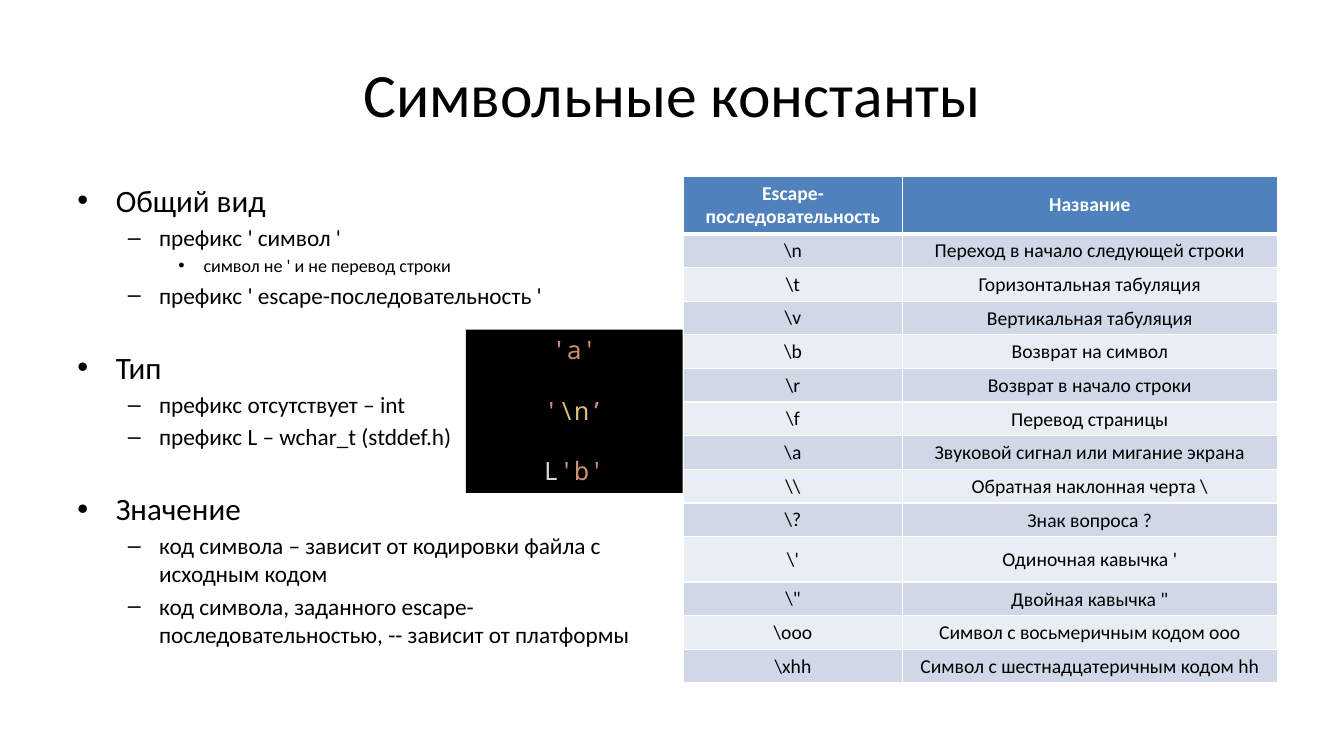
from dataclasses import dataclass

from lxml import etree
from pptx import Presentation
from pptx.dml.color import RGBColor
from pptx.enum import shapes, text
from pptx.oxml import ns
from pptx.util import Inches, Pt


@dataclass(frozen=True)
class Theme:
    font: str = "Calibri"
    code_font: str = "Noto Sans Mono"
    ink: str = "000000"
    paper: str = "FFFFFF"
    header: str = "4F81BD"
    bands: tuple = ("D0D8E8", "E9EDF4")
    literal: str = "CE9178"
    escape: str = "D7BA7D"
    prefix: str = "D4D4D4"
    title_size: float = 44
    table_size: float = 14
    code_size: float = 18


THEME = Theme()

# Per outline level: bullet, text size, left margin, hanging indent
LEVELS = [("•", 22.2, 0.38, 0.38), ("–", 16.6, 0.81, 0.31), ("•", 12.9, 1.25, 0.25)]
SECTION_GAP = 28

OUTLINE = [
    (0, "Общий вид"),
    (1, "префикс ' символ '"),
    (2, "символ не ' и не перевод строки"),
    (1, "префикс ' escape-последовательность '"),
    (0, "Тип"),
    (1, "префикс отсутствует – int"),
    (1, "префикс L – wchar_t (stddef.h)"),
    (0, "Значение"),
    (1, "код символа – зависит от кодировки файла с исходным кодом"),
    (1, "код символа, заданного escape-последовательностью, -- зависит от платформы"),
]

ESCAPES = [
    ("Escape-последовательность", "Название"),
    (r"\n", "Переход в начало следующей строки"),
    (r"\t", "Горизонтальная табуляция"),
    (r"\v", "Вертикальная табуляция"),
    (r"\b", "Возврат на символ"),
    (r"\r", "Возврат в начало строки"),
    (r"\f", "Перевод страницы"),
    (r"\a", "Звуковой сигнал или мигание экрана"),
    (r"\\", "Обратная наклонная черта " + "\\"),
    (r"\?", "Знак вопроса ?"),
    (r"\'", "Одиночная кавычка '"),
    (r'\"', 'Двойная кавычка "'),
    (r"\ooo", "Символ с восьмеричным кодом ooo"),
    (r"\xhh", "Символ с шестнадцатеричным кодом hh"),
]
HEADER_HEIGHT, ROW_HEIGHT, QUOTE_HEIGHT = 0.57, 0.33, 0.45

CODE_LINES = [
    [("'a'", THEME.literal)],
    [("'", THEME.literal), (r"\n", THEME.escape), ("’", THEME.literal)],
    [("L", THEME.prefix), ("'b'", THEME.literal)],
]


def add_run(paragraph, words, size, color=THEME.ink, font=THEME.font, bold=False):
    run = paragraph.add_run()
    run.text = words
    run.font.size, run.font.name, run.font.bold = Pt(size), font, bold
    run.font.color.rgb = RGBColor.from_string(color)


def paragraphs(frame, count):
    """Return the frame's first paragraph followed by new ones, count in all."""
    return [frame.paragraphs[0]] + [frame.add_paragraph() for _ in range(count - 1)]


def place_title(slide, box):
    title = slide.shapes.title
    title.left, title.top, title.width, title.height = map(Inches, box)
    title.text_frame.vertical_anchor = text.MSO_ANCHOR.MIDDLE
    heading = title.text_frame.paragraphs[0]
    heading.alignment = text.PP_ALIGN.CENTER
    add_run(heading, "Символьные константы", THEME.title_size)


def add_outline(slide, box):
    frame = slide.shapes.add_textbox(*map(Inches, box)).text_frame
    frame.word_wrap = True
    for index, (item, (level, words)) in enumerate(
            zip(paragraphs(frame, len(OUTLINE)), OUTLINE)):
        bullet, size, margin, hanging = LEVELS[level]
        starts_section = level == 0 and index > 0
        item.level = level
        item.space_before = Pt(SECTION_GAP if starts_section else round(size * 0.2, 1))
        properties = item._p.get_or_add_pPr()
        properties.set("marL", str(Inches(margin)))
        properties.set("indent", str(-Inches(hanging)))
        etree.SubElement(properties, ns.qn("a:buFont"), typeface="Arial")
        etree.SubElement(properties, ns.qn("a:buChar"), char=bullet)
        add_run(item, words, size)


def set_borders(cell, **widths):
    """Draw the cell's borders, widths in points keyed by side: L, R, T, B."""
    properties = cell._tc.get_or_add_tcPr()
    for side, width in widths.items():
        line = etree.SubElement(properties, ns.qn("a:ln" + side), w=str(Pt(width)))
        fill = etree.SubElement(line, ns.qn("a:solidFill"))
        etree.SubElement(fill, ns.qn("a:srgbClr"), val=THEME.paper)


def add_escape_table(slide, box):
    table = slide.shapes.add_table(len(ESCAPES), 2, *map(Inches, box)).table
    table.columns[0].width, table.columns[1].width = Inches(2.17), Inches(3.72)
    for row, entry in enumerate(ESCAPES):
        is_header = row == 0
        height = HEADER_HEIGHT if is_header else ROW_HEIGHT
        table.rows[row].height = Inches(QUOTE_HEIGHT if entry[0] == r"\'" else height)
        for column, words in enumerate(entry):
            cell = table.cell(row, column)
            set_borders(cell, L=1, R=1, T=3 if row == 1 else 1, B=3 if is_header else 1)
            cell.fill.solid()
            cell.fill.fore_color.rgb = RGBColor.from_string(
                THEME.header if is_header else THEME.bands[(row - 1) % 2])
            cell.vertical_anchor = text.MSO_ANCHOR.MIDDLE
            if column == 1 and not is_header:
                cell.margin_left = cell.margin_right = cell.margin_top = Inches(0.01)
                cell.margin_bottom = 0
            label = cell.text_frame.paragraphs[0]
            label.alignment = text.PP_ALIGN.CENTER
            add_run(label, words, THEME.table_size,
                    THEME.paper if is_header else THEME.ink, bold=is_header)


def add_code_sample(slide, box):
    panel = slide.shapes.add_shape(shapes.MSO_SHAPE.RECTANGLE, *map(Inches, box))
    panel.shadow.inherit = False
    panel.fill.solid()
    panel.fill.fore_color.rgb = RGBColor.from_string(THEME.ink)
    panel.line.fill.background()
    frame = panel.text_frame
    frame.word_wrap = True
    frame.vertical_anchor = text.MSO_ANCHOR.TOP
    for index, (line, pieces) in enumerate(
            zip(paragraphs(frame, len(CODE_LINES)), CODE_LINES)):
        line.alignment = text.PP_ALIGN.CENTER
        line.space_before = Pt(21.5 if index else 0)
        for words, color in pieces:
            add_run(line, words, THEME.code_size, color, THEME.code_font)


def main():
    deck = Presentation()
    deck.slide_width, deck.slide_height = Inches(13.33), Inches(7.5)
    slide = deck.slides.add_slide(deck.slide_layouts[5])
    place_title(slide, (0.67, 0.3, 12, 1.25))
    add_outline(slide, (0.67, 1.75, 5.89, 4.95))
    add_escape_table(slide, (6.78, 1.75, 5.89, 5.01))
    add_code_sample(slide, (4.62, 3.27, 2.15, 1.62))
    deck.save("out.pptx")


if __name__ == "__main__":
    main()
